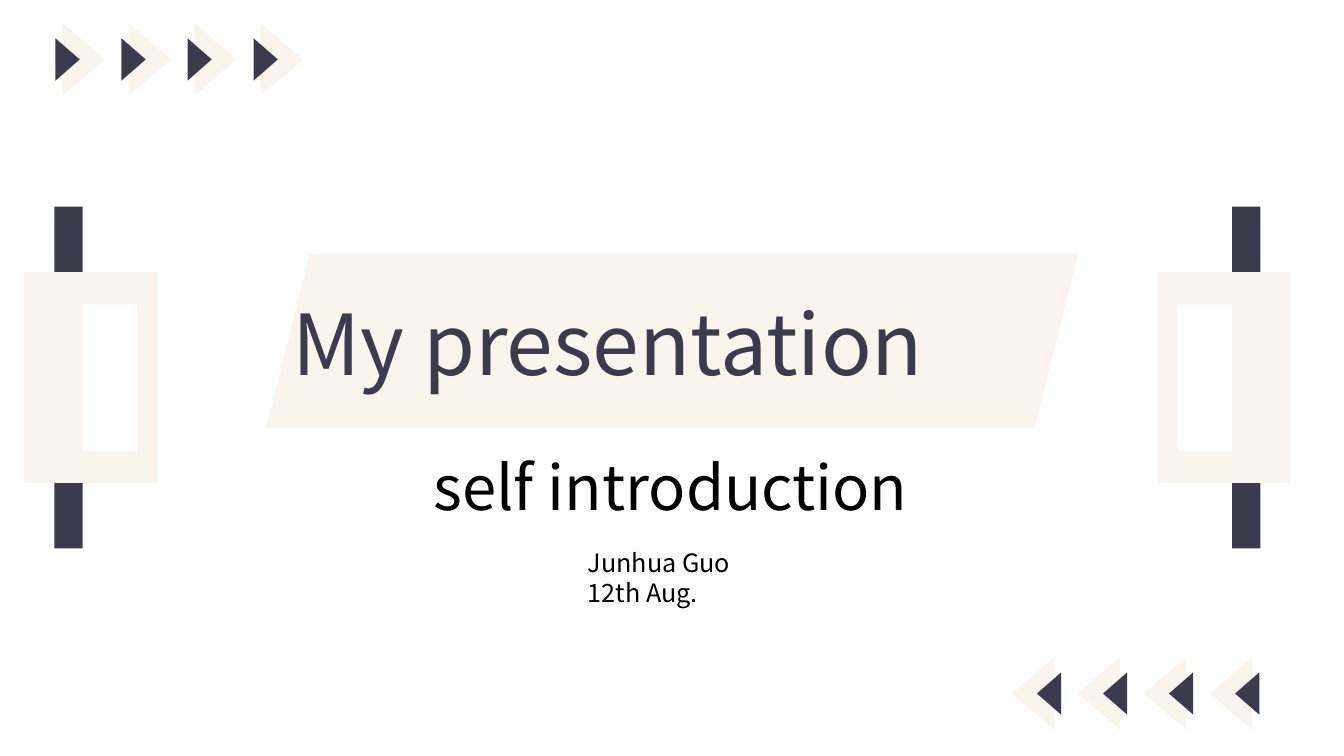
from pptx import Presentation
from pptx.dml.color import RGBColor
from pptx.enum.shapes import MSO_SHAPE
from pptx.enum.text import MSO_AUTO_SIZE, PP_ALIGN
from pptx.util import Inches, Pt

COLORS = {"cream": "F9F5EC", "ink": "3C3B4E", "white": "FFFFFF", "black": "000000"}
FONT = "Noto Sans CJK SC"
WIDTH, HEIGHT = 13.33, 7.5
MIRROR_WIDTH = 13.04
BRACKET_WIDTH = 1.32
ARROW_COUNT, ARROW_STEP = 4, 0.655


def add_block(shapes, kind, box, color, rotation=0):
    """Add a flat filled shape without outline or shadow."""
    shape = shapes.add_shape(kind, *map(Inches, box))
    shape.shadow.inherit = False
    shape.fill.solid()
    shape.fill.fore_color.rgb = RGBColor.from_string(COLORS[color])
    shape.line.fill.background()
    shape.rotation = rotation


def add_text(page, box, text, size, color="black", align=PP_ALIGN.LEFT, wrap=False):
    """Add a text box with one paragraph per line of text."""
    frame = page.shapes.add_textbox(*map(Inches, box)).text_frame
    frame.word_wrap = wrap
    frame.auto_size = MSO_AUTO_SIZE.SHAPE_TO_FIT_TEXT
    frame.text = text
    for para in frame.paragraphs:
        para.alignment = align
        for span in para.runs:
            span.font.name = FONT
            span.font.size = Pt(size)
            span.font.color.rgb = RGBColor.from_string(COLORS[color])


def add_bracket(page, left, top, mirrored=False):
    """Draw a side ornament: a dark bar behind a cream frame with a white window."""
    shapes = page.shapes.add_group_shape().shapes
    parts = [
        (0.3, 0, 0.28, 3.39, "ink"),
        (0, 0.65, BRACKET_WIDTH, 2.09, "cream"),
        (0.58, 0.97, 0.54, 1.46, "white"),
    ]
    for inset, drop, width, height, color in parts:
        offset = BRACKET_WIDTH - inset - width if mirrored else inset
        add_block(shapes, MSO_SHAPE.RECTANGLE,
                  (left + offset, top + drop, width, height), color)


def add_arrows(page, center_x, center_y, direction):
    """Draw a row of double arrowheads pointing right (1) or left (-1)."""
    shapes = page.shapes.add_group_shape().shapes
    for index in range(ARROW_COUNT):
        tail = center_x + direction * index * ARROW_STEP
        for shift, base, depth, color in [(0.16, 0.72, 0.42, "cream"),
                                          (0, 0.42, 0.24, "ink")]:
            middle = tail + direction * shift
            box = (middle - base / 2, center_y - depth / 2, base, depth)
            add_block(shapes, MSO_SHAPE.ISOSCELES_TRIANGLE, box, color, direction * 90 % 360)


def add_title(page, left, top):
    """Place the banner, title, subtitle and author lines."""
    add_block(page.shapes, MSO_SHAPE.PARALLELOGRAM, (left, top, 8.05, 1.73), "cream")
    add_text(page, (left + 0.16, top + 0.32, 7.73, 1.11), "My presentation", 60,
             color="ink", align=PP_ALIGN.JUSTIFY, wrap=True)
    add_text(page, (left + 1.56, top + 1.88, 4.93, 0.84), "self introduction", 44)
    add_text(page, (left + 3.09, top + 2.86, 1.68, 1.01), "Junhua Guo\n12th Aug.", 18)


def main():
    """Build the cover slide."""
    deck = Presentation()
    deck.slide_width, deck.slide_height = Inches(WIDTH), Inches(HEIGHT)
    page = deck.slides.add_slide(deck.slide_layouts[6])
    add_title(page, 2.64, 2.52)
    add_bracket(page, 0.24, 2.05)
    add_bracket(page, MIRROR_WIDTH - 0.24 - BRACKET_WIDTH, 2.05, mirrored=True)
    add_arrows(page, 0.67, 0.59, 1)
    add_arrows(page, MIRROR_WIDTH - 0.67, 6.88, -1)
    deck.save("out.pptx")


if __name__ == "__main__":
    main()
